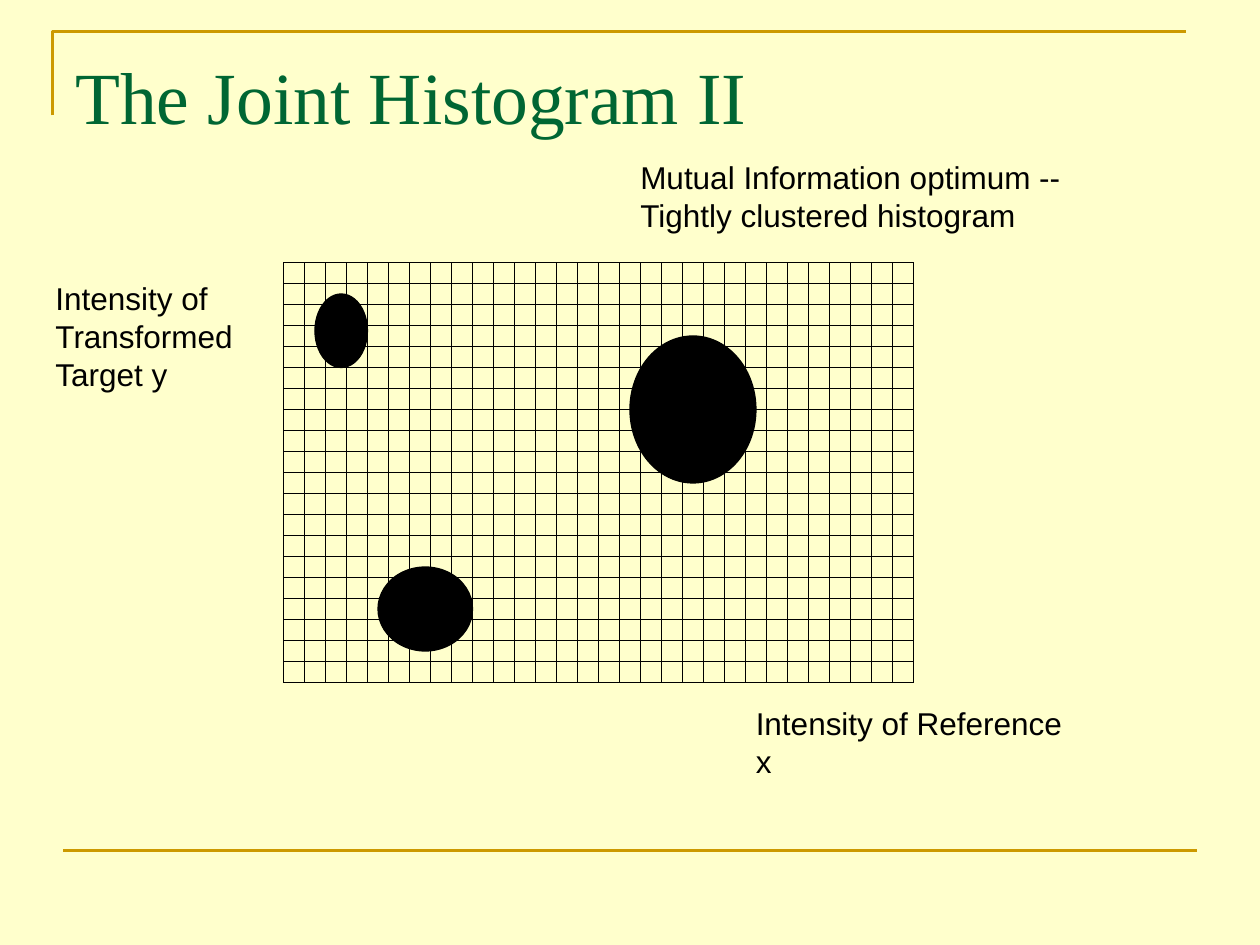
import typing

import pptx
import pptx.dml.color
import pptx.enum.shapes
import pptx.enum.text
import pptx.util
from lxml import etree

SCALE = 7620  # EMU in one px, 120 px to the inch
CELL = 20
BLACK, GOLD, GREEN, CREAM = "000000", "CC9900", "006633", "FFFFCC"
KIND = pptx.enum.shapes.MSO_SHAPE


class Box(typing.NamedTuple):
    left: int
    top: int
    width: int
    height: int


class Label(typing.NamedTuple):
    box: Box
    lines: list[str]
    size: int = 18
    font: str = "Arial"
    color: str = BLACK
    wrap: bool = False
    inset: int = 6


GRID = Box(270, 250, 600, 400)
SPOTS = [Box(300, 280, 50, 70), Box(360, 540, 90, 80), Box(600, 320, 120, 140)]
LABELS = [
    Label(Box(60, 36, 1080, 150), ["The Joint Histogram II"],
          42, "Times New Roman", GREEN, True, 13),
    Label(Box(708, 665, 338, 48), ["Intensity of Reference x"]),
    Label(Box(41, 260, 193, 120), ["Intensity of", "Transformed", "Target y"]),
    Label(Box(598, 145, 424, 84),
          ["Mutual Information optimum --", "Tightly clustered histogram"]),
]


def px(n: int) -> pptx.util.Emu:
    return pptx.util.Emu(n * SCALE)


def rgb(code: str) -> pptx.dml.color.RGBColor:
    return pptx.dml.color.RGBColor.from_string(code)


def stroke(line, color: str, width: float) -> None:
    line.color.rgb = rgb(color)
    line.width = pptx.util.Pt(width)


def shape(shapes, kind, box: Box, fill: str | None = None) -> None:
    """Draw a black-edged shape, hollow unless a fill is given."""
    item = shapes.add_shape(kind, *map(px, box))
    item.shadow.inherit = False
    stroke(item.line, BLACK, 0.75)
    if fill:
        item.fill.solid()
        item.fill.fore_color.rgb = rgb(fill)
    else:
        item.fill.background()


def grid(shapes, box: Box) -> None:
    """Overlap rows three cells high with columns one cell wide."""
    group = shapes.add_group_shape().shapes
    tall = 3 * CELL
    for top in range(box.top, box.top + box.height - tall + 1, CELL):
        shape(group, KIND.RECTANGLE, Box(box.left, top, box.width, tall))
    for left in range(box.left, box.left + box.width, CELL):
        shape(group, KIND.RECTANGLE, Box(left, box.top, CELL, box.height))


def frame(shapes) -> None:
    """Draw the gold corner at the top and the gold rule at the foot."""
    path = shapes.build_freeform(50, 110, scale=SCALE)
    path.add_line_segments([(50, 30), (1130, 30)], close=False)
    corner = path.convert_to_shape()
    corner.shadow.inherit = False
    corner.fill.background()
    stroke(corner.line, GOLD, 1.5)

    rule = shapes.add_connector(pptx.enum.shapes.MSO_CONNECTOR.STRAIGHT,
                                px(60), px(810), px(1140), px(810))
    stroke(rule.line, GOLD, 1.5)
    etree.SubElement(rule._element.spPr, pptx.oxml.ns.qn("a:effectLst"))


def write(shapes, label: Label) -> None:
    text = shapes.add_textbox(*map(px, label.box)).text_frame
    sizing = pptx.enum.text.MSO_AUTO_SIZE
    form = {
        "word_wrap": label.wrap,
        "auto_size": sizing.NONE if label.wrap else sizing.SHAPE_TO_FIT_TEXT,
        "vertical_anchor": pptx.enum.text.MSO_ANCHOR.TOP,
        "margin_left": px(12), "margin_right": px(12),
        "margin_top": px(label.inset), "margin_bottom": px(6),
    }
    for name, value in form.items():
        setattr(text, name, value)
    look = {"name": label.font, "size": pptx.util.Pt(label.size)}
    for i, line in enumerate(label.lines):
        para = text.paragraphs[0] if i == 0 else text.add_paragraph()
        run = para.add_run()
        run.text = line
        for name, value in look.items():
            setattr(run.font, name, value)
        run.font.color.rgb = rgb(label.color)


def main() -> None:
    deck = pptx.Presentation()
    deck.slide_width, deck.slide_height = px(1200), px(900)
    slide = deck.slides.add_slide(deck.slide_layouts[6])
    slide.background.fill.solid()
    slide.background.fill.fore_color.rgb = rgb(CREAM)

    frame(slide.shapes)
    grid(slide.shapes, GRID)
    for spot in SPOTS:
        shape(slide.shapes, KIND.OVAL, spot, BLACK)
    for label in LABELS:
        write(slide.shapes, label)
    deck.save("out.pptx")


if __name__ == "__main__":
    main()
